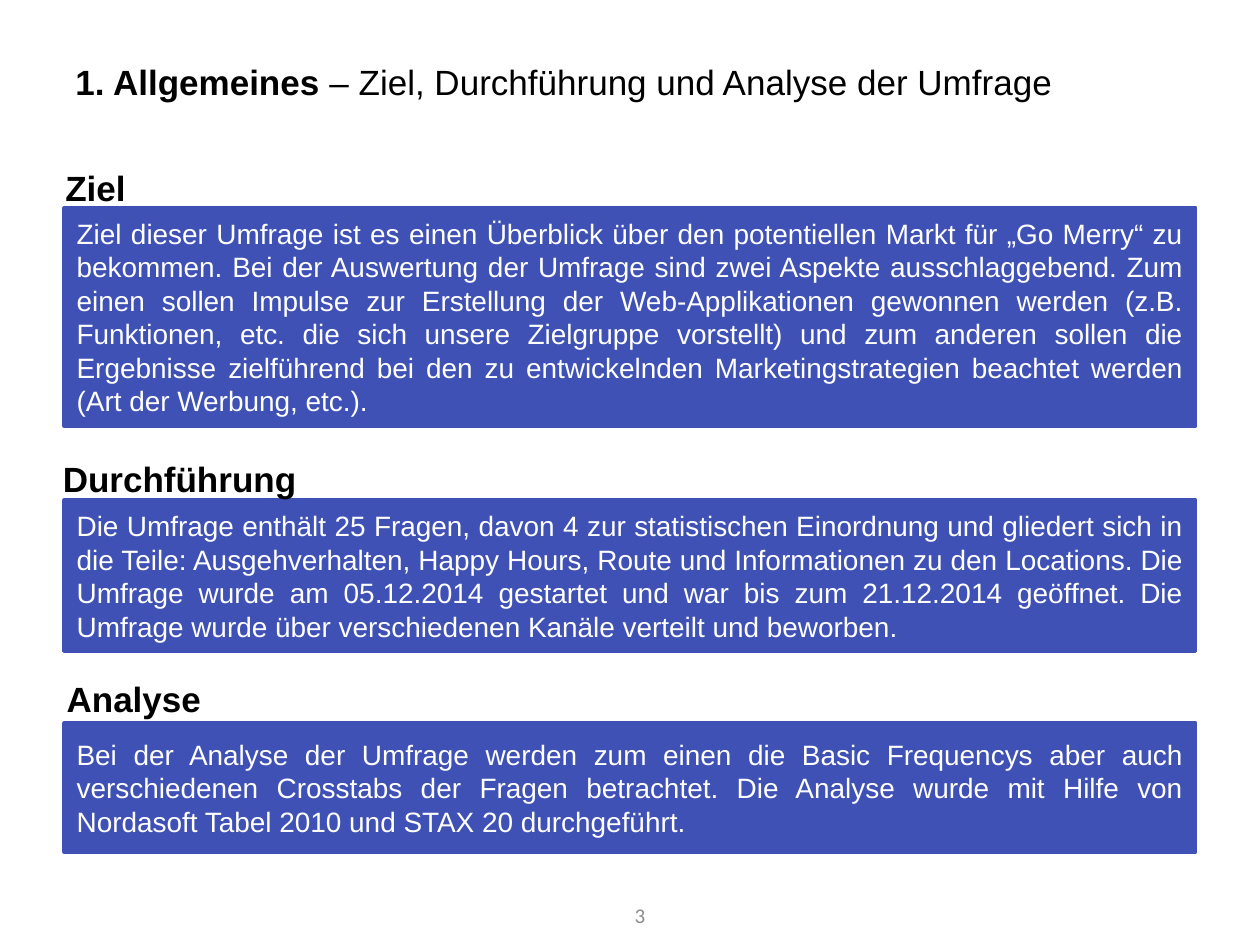
from pptx import Presentation
from pptx import util as u
from pptx.dml.color import RGBColor
from pptx.enum import shapes, text

COLORS = {"panel": "3F51B5", "light": "FFFFFF", "dark": "000000", "muted": "8C8C8C"}
ALIGN, ANCHOR = text.PP_ALIGN, text.MSO_ANCHOR

deck = Presentation()
deck.slide_width, deck.slide_height = u.Inches(10), u.Inches(7.5)
page = deck.slides.add_slide(deck.slide_layouts[6])
COLUMN, ROW = deck.slide_width / 100, deck.slide_height / 75


def cells(left, top, width, height):
    return [round(n * unit) for n, unit in zip((left, top, width, height), (COLUMN, ROW) * 2)]


def write(box, spans, color, size, align=ALIGN.LEFT, anchor=ANCHOR.MIDDLE, wrap=True, font="Arial"):
    frame = box.text_frame
    frame.word_wrap, frame.vertical_anchor = wrap, anchor
    para = frame.paragraphs[0]
    para.alignment = align
    for words, bold in spans:
        span = para.add_run()
        span.text = words
        for name, value in {"name": font, "size": u.Pt(size), "bold": bold}.items():
            setattr(span.font, name, value)
        span.font.color.rgb = RGBColor.from_string(COLORS[color])


title = page.shapes.add_textbox(*cells(5, 3, 91.5, 6.9))
write(title, [("1. Allgemeines ", True),
              ("– Ziel, Durchführung und Analyse der Umfrage", False)], "dark", 20)

sections = [
    ("Ziel", (4.2, 12.7, 6.8), (16.5, 17.3),
     "Ziel dieser Umfrage ist es einen Überblick über den potentiellen Markt für „Go Merry“ zu "
     "bekommen. Bei der Auswertung der Umfrage sind zwei Aspekte ausschlaggebend. Zum einen sollen "
     "Impulse zur Erstellung der Web-Applikationen gewonnen werden (z.B. Funktionen, etc. die sich "
     "unsere Zielgruppe vorstellt) und zum anderen sollen die Ergebnisse zielführend bei den zu "
     "entwickelnden Marketingstrategien beachtet werden (Art der Werbung, etc.)."),
    ("Durchführung", (4, 35.8, 20.7), (39.7, 12),
     "Die Umfrage enthält 25 Fragen, davon 4 zur statistischen Einordnung und gliedert sich in die "
     "Teile: Ausgehverhalten, Happy Hours, Route und Informationen zu den Locations. Die Umfrage "
     "wurde am 05.12.2014 gestartet und war bis zum 21.12.2014 geöffnet. Die Umfrage wurde über "
     "verschiedenen Kanäle verteilt und beworben."),
    ("Analyse", (4.3, 53.3, 12.8), (57.4, 10.2),
     "Bei der Analyse der Umfrage werden zum einen die Basic Frequencys aber auch verschiedenen "
     "Crosstabs der Fragen betrachtet. Die Analyse wurde mit Hilfe von Nordasoft Tabel 2010 und "
     "STAX 20 durchgeführt."),
]

for heading, (left, top, width), (panel_top, panel_height), body in sections:
    panel = page.shapes.add_shape(shapes.MSO_SHAPE.RECTANGLE,
                                  *cells(5.1, panel_top, 89.8, panel_height))
    panel.shadow.inherit = False
    panel.fill.solid()
    panel.line.width = u.Pt(2)
    for paint in (panel.fill.fore_color, panel.line.color):
        paint.rgb = RGBColor.from_string(COLORS["panel"])
    write(panel, [(body, False)], "light", 16, align=ALIGN.JUSTIFY)

    label = page.shapes.add_textbox(*cells(left, top, width, 4.4))
    write(label, [(heading, True)], "dark", 20, anchor=ANCHOR.TOP, wrap=False)
    label.text_frame.auto_size = text.MSO_AUTO_SIZE.SHAPE_TO_FIT_TEXT

number = page.shapes.add_textbox(*cells(45.9, 70.6, 6.3, 4))
write(number, [("3", False)], "muted", 12, align=ALIGN.RIGHT, font="Calibri")

deck.save("out.pptx")
